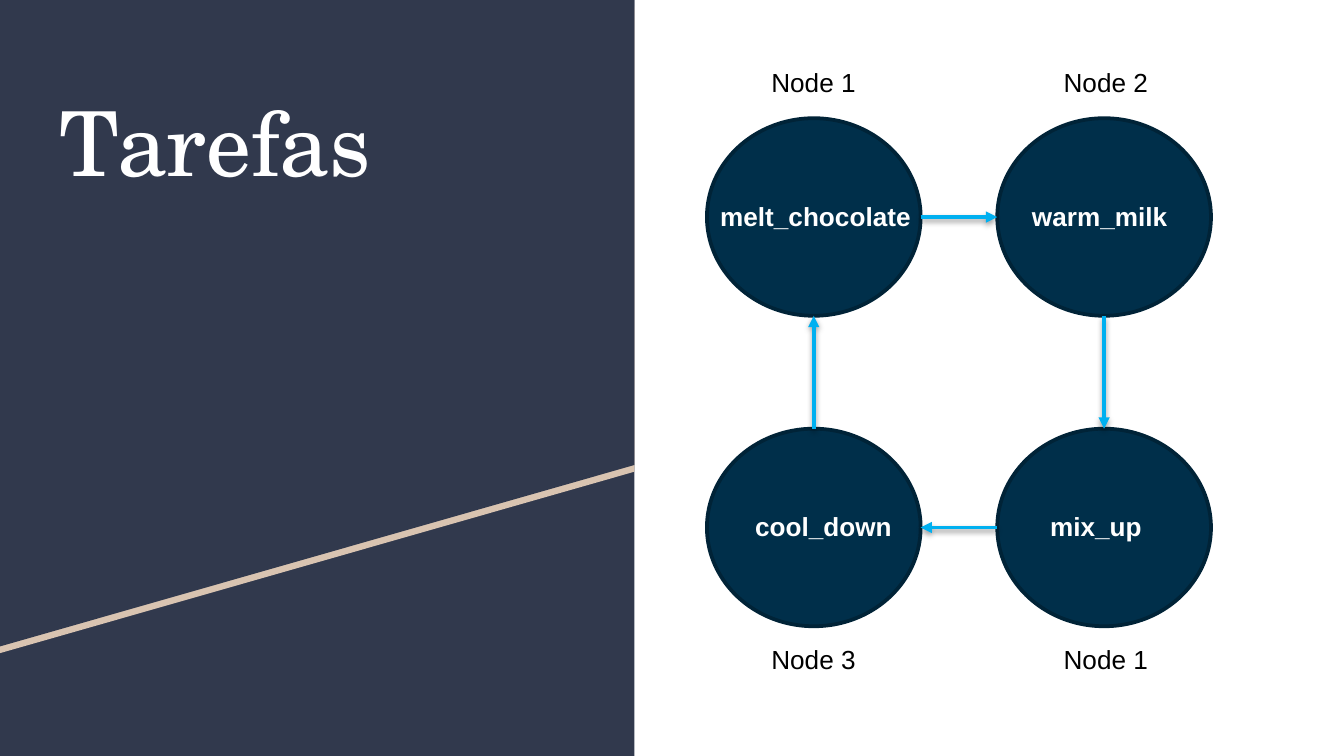
"""Builds the task-cycle slide: a title panel beside four linked nodes."""
from dataclasses import dataclass

from lxml import etree
from pptx import Presentation
from pptx import util as u
from pptx.dml.color import RGBColor
from pptx.enum import shapes, text
from pptx.oxml.ns import qn


@dataclass(frozen=True)
class Theme:
    panel: str = "31394D"
    stripe: str = "D9C4B1"
    node: str = "002F4A"
    node_line: str = "002337"
    arrow: str = "00B0F0"
    light: str = "FFFFFF"
    dark: str = "000000"
    title_font: str = "TeX Gyre Schola"
    body_font: str = "Arial"
    title_size: int = 48
    body_size: int = 14
    line_width: int = 2


T = Theme()
WIDTH = 10
HEIGHT = WIDTH * 9 / 16
COLUMN = u.Inches(WIDTH) / 100
PANEL_COLS = 47.2
NODE_W, NODE_H = 15.9, 14.7
NODE_COLS = (52.6, 74.2)
NODE_ROWS = (8.8, 31.9)
CAPTION_COLS = (56.4, 78.15)
CAPTION_ROWS = (4.45, 47.35)
NODES = [
    (0, 0, "melt_chocolate", 0, "Node 1"),
    (1, 0, "warm_milk", 1.6, "Node 2"),
    (0, 1, "cool_down", 2.6, "Node 3"),
    (1, 1, "mix_up", 2.95, "Node 1"),
]


def grid(*cells):
    return [u.Emu(round(c * COLUMN)) for c in cells]


def paint(sp, fill, line=None):
    sp.shadow.inherit = False
    sp.fill.solid()
    sp.fill.fore_color.rgb = RGBColor.from_string(fill)
    if line:
        sp.line.color.rgb = RGBColor.from_string(line)
        sp.line.width = u.Pt(T.line_width)
    else:
        sp.line.fill.background()


def write(tf, words, font, size, color, bold=False):
    tf.text = words
    p = tf.paragraphs[0]
    p.alignment = text.PP_ALIGN.LEFT
    r = p.runs[0]
    r.font.name, r.font.size, r.font.bold = font, u.Pt(size), bold
    r.font.color.rgb = RGBColor.from_string(color)


def add_label(s, x, y, w, words, color, bold=False):
    tf = s.shapes.add_textbox(*grid(x, y, w, 3.4)).text_frame
    tf.word_wrap = True
    tf.auto_size = text.MSO_AUTO_SIZE.SHAPE_TO_FIT_TEXT
    write(tf, words, T.body_font, T.body_size, color, bold)


def add_slope(s, top, right_row, left_row, color):
    builder = s.shapes.build_freeform(*grid(0, top), scale=1.0)
    corners = [(PANEL_COLS, top), (PANEL_COLS, right_row), (0, left_row)]
    builder.add_line_segments([grid(*c) for c in corners], close=True)
    paint(builder.convert_to_shape(), color)


def add_panel(s):
    sp = s.shapes.add_shape(shapes.MSO_SHAPE.RECTANGLE,
                            *grid(0, 0, PANEL_COLS, HEIGHT * 10))
    paint(sp, T.panel)
    add_slope(s, 0.5, 35.1, 48.6, T.stripe)
    add_slope(s, 0, 34.6, 48.1, T.panel)


def add_title(s, words):
    sp = s.shapes.title
    s.shapes._spTree.append(sp._element)
    sp.left, sp.top, sp.width, sp.height = grid(3.4, 5.5, 40.5, 27.4)
    tf = sp.text_frame
    tf.margin_left = tf.margin_right = tf.margin_top = tf.margin_bottom = u.Inches(0.1)
    tf.vertical_anchor = text.MSO_ANCHOR.TOP
    tf.auto_size = text.MSO_AUTO_SIZE.NONE
    write(tf, words, T.title_font, T.title_size, T.light)


def add_node(s, col, row, words, indent):
    x, y = NODE_COLS[col], NODE_ROWS[row]
    sp = s.shapes.add_shape(shapes.MSO_SHAPE.OVAL, *grid(x, y, NODE_W, NODE_H))
    paint(sp, T.node, T.node_line)
    add_label(s, x + indent, y + 5.6, 17.5, words, T.light, bold=True)


def add_arrow(s, start, end):
    c = s.shapes.add_connector(shapes.MSO_CONNECTOR.STRAIGHT, *grid(*start, *end))
    c.line.color.rgb = RGBColor.from_string(T.arrow)
    c.line.width = u.Pt(T.line_width)
    etree.SubElement(c.line._get_or_add_ln(), qn("a:tailEnd"), type="triangle")
    effects = etree.SubElement(c._element.spPr, qn("a:effectLst"))
    shadow = etree.SubElement(effects, qn("a:outerShdw"), blurRad=str(u.Pt(3.1)),
                              dist=str(u.Pt(1.6)), dir="5400000", rotWithShape="0")
    tint = etree.SubElement(shadow, qn("a:srgbClr"), val=T.dark)
    etree.SubElement(tint, qn("a:alpha"), val="38000")


def add_cycle(s):
    left, right = NODE_COLS
    top, bottom = NODE_ROWS
    mid_x, mid_y = NODE_W / 2, NODE_H / 2
    add_arrow(s, (left + NODE_W, top + mid_y), (right, top + mid_y))
    add_arrow(s, (right + mid_x, top + NODE_H), (right + mid_x, bottom))
    add_arrow(s, (right, bottom + mid_y), (left + NODE_W, bottom + mid_y))
    add_arrow(s, (left + mid_x, bottom), (left + mid_x, top + NODE_H))


def main():
    prs = Presentation()
    prs.slide_width, prs.slide_height = u.Inches(WIDTH), u.Inches(HEIGHT)
    s = prs.slides.add_slide(prs.slide_layouts[5])
    add_panel(s)
    add_title(s, "Tarefas")
    for col, row, words, indent, _ in NODES:
        add_node(s, col, row, words, indent)
    add_cycle(s)
    for col, row, _, _, caption in NODES:
        add_label(s, CAPTION_COLS[col], CAPTION_ROWS[row], 9.9, caption, T.dark)
    prs.save("out.pptx")


main()
